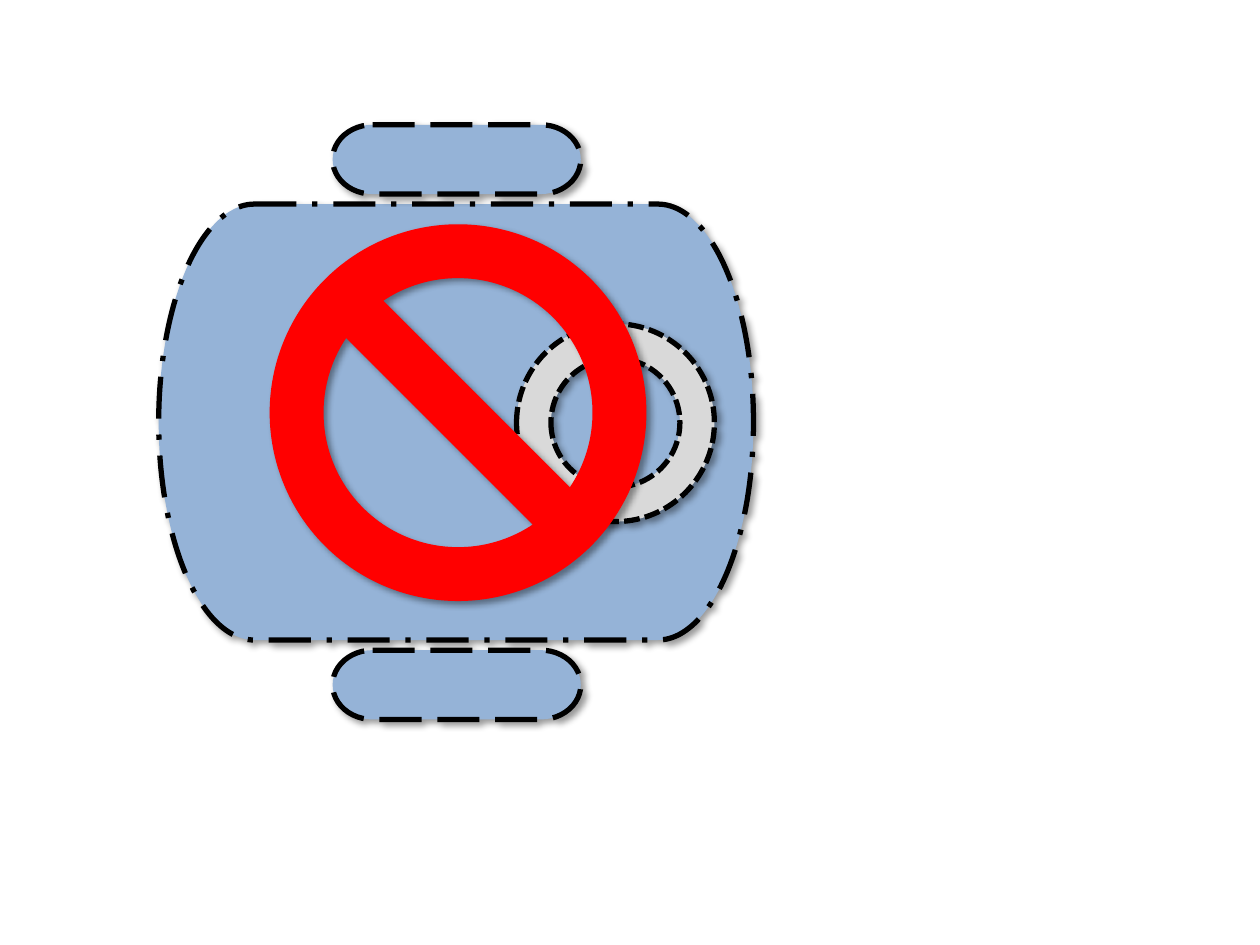
from dataclasses import dataclass

from lxml import etree
from pptx import Presentation
from pptx.dml.color import RGBColor
from pptx.enum.dml import MSO_LINE
from pptx.enum.shapes import MSO_SHAPE
from pptx.oxml.ns import qn
from pptx.util import Inches, Pt

TERMINATOR = MSO_SHAPE.FLOWCHART_TERMINATOR
DONUT = MSO_SHAPE.DONUT
NO_SYMBOL = MSO_SHAPE.NO_SYMBOL
LONG_DASH_DOT = MSO_LINE.LONG_DASH_DOT
LONG_DASH = MSO_LINE.LONG_DASH
SYS_DASH = MSO_LINE.SQUARE_DOT


@dataclass(frozen=True)
class Theme:
    """Colours, line width and shadow values."""
    body: str = "95B3D7"
    ring: str = "D9D9D9"
    ban: str = "FF0000"
    outline: str = "000000"
    line_width: float = 3
    shadow_blur: float = 4
    shadow_distance: float = 3
    shadow_angle: int = 45
    shadow_opacity: int = 40


THEME = Theme()


def add_shadow(sp):
    """Give a shape the soft outer shadow of the theme."""
    sp.shadow.inherit = False
    effects = sp._element.spPr.find(qn("a:effectLst"))
    shadow = etree.SubElement(effects, qn("a:outerShdw"), {
        "blurRad": str(Pt(THEME.shadow_blur)),
        "dist": str(Pt(THEME.shadow_distance)),
        "dir": str(THEME.shadow_angle * 60000),
        "algn": "tl",
        "rotWithShape": "0",
    })
    color = etree.SubElement(shadow, qn("a:srgbClr"), val=THEME.outline)
    etree.SubElement(color, qn("a:alpha"), val=str(THEME.shadow_opacity * 1000))


def add_part(s, kind, box, fill, dash=None, adjust=None):
    """Add one filled preset shape, outlined when a dash style is given."""
    sp = s.shapes.add_shape(kind, *(Inches(v) for v in box))
    if adjust is not None:
        sp.adjustments[0] = adjust
    sp.fill.solid()
    sp.fill.fore_color.rgb = RGBColor.from_string(fill)
    if dash is None:
        sp.line.fill.background()
    else:
        sp.line.color.rgb = RGBColor.from_string(THEME.outline)
        formats = {"width": Pt(THEME.line_width), "dash_style": dash}
        for name, value in formats.items():
            setattr(sp.line, name, value)
    add_shadow(sp)


def add_device(s, left, top, width, height):
    """Draw the body, a bar above and below it, and the ring at its right."""
    add_part(s, TERMINATOR, (left, top, width, height), THEME.body, LONG_DASH_DOT)
    bar_w, bar_h, gap = 1.97, 0.55, 0.08
    for bar_top in (top - gap - bar_h, top + height + gap):
        add_part(s, TERMINATOR, (left + 1.38, bar_top, bar_w, bar_h),
                 THEME.body, LONG_DASH)
    ring = 1.57
    add_part(s, DONUT, (left + 2.84, top + 0.95, ring, ring),
             THEME.ring, SYS_DASH, 0.174)


def add_ban(s, left, top, size):
    """Draw the prohibition sign in a square box."""
    add_part(s, NO_SYMBOL, (left, top, size, size), THEME.ban, adjust=0.143)


def main():
    """Build the slide and save it."""
    prs = Presentation()
    prs.slide_width, prs.slide_height = Inches(10), Inches(7.5)
    s = prs.slides.add_slide(prs.slide_layouts[6])
    add_device(s, 1.26, 1.62, 4.72, 3.46)
    add_ban(s, 2.14, 1.78, 2.99)
    prs.save("out.pptx")


main()
